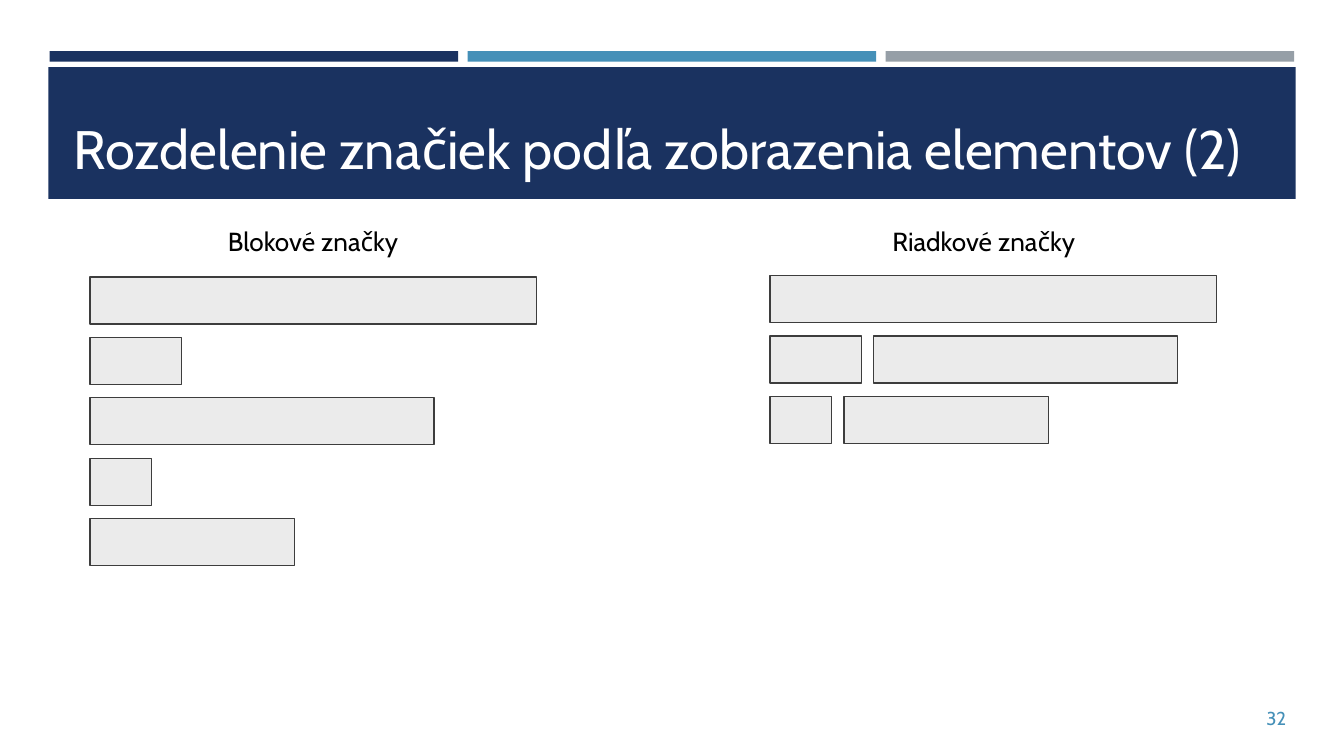
import pptx
import pptx.dml.color
import pptx.enum.shapes
import pptx.enum.text
import pptx.util

Inches = pptx.util.Inches
RGBColor = pptx.dml.color.RGBColor
ALIGN = pptx.enum.text.PP_ALIGN
ANCHOR = pptx.enum.text.MSO_ANCHOR

NAVY = RGBColor(0x1A, 0x32, 0x60)
BLUE = RGBColor(0x45, 0x90, 0xB8)
GRAY = RGBColor(0x96, 0x9F, 0xA7)
BOX_FILL = RGBColor(0xEB, 0xEB, 0xEB)
BOX_LINE = RGBColor(0x3D, 0x3D, 0x3D)
WHITE = RGBColor(0xFF, 0xFF, 0xFF)
BLACK = RGBColor(0, 0, 0)

FONT = "Cabin"
BOX_HEIGHT = 0.35
ROW_PITCH = 0.45
BOX_GAP = 0.09


def add_rect(s, x, y, w, h, fill, line=None):
    sp = s.shapes.add_shape(pptx.enum.shapes.MSO_SHAPE.RECTANGLE,
                            Inches(x), Inches(y), Inches(w), Inches(h))
    sp.shadow.inherit = False
    sp.fill.solid()
    sp.fill.fore_color.rgb = fill
    if line is None:
        sp.line.fill.background()
    else:
        sp.line.color.rgb = line
        sp.line.width = pptx.util.Pt(0.75)


def add_text(s, x, y, w, h, text, size, color, align, anchor, inset_x, inset_y):
    tf = s.shapes.add_textbox(Inches(x), Inches(y), Inches(w), Inches(h)).text_frame
    tf.word_wrap = True
    tf.vertical_anchor = anchor
    tf.margin_left = tf.margin_right = Inches(inset_x)
    tf.margin_top = tf.margin_bottom = Inches(inset_y)
    tf.text = text
    p = tf.paragraphs[0]
    p.alignment = align
    font = p.runs[0].font
    font.name = FONT
    font.size = pptx.util.Pt(size)
    font.color.rgb = color


def add_header(s, title):
    for i, color in enumerate((NAVY, BLUE, GRAY)):
        add_rect(s, 0.37 + 3.11 * i, 0.38, 3.04, 0.08, color)
    add_rect(s, 0.36, 0.5, 9.28, 0.98, NAVY)
    add_text(s, 0.48, 0.58, 9.05, 0.83, title, 29, WHITE,
             ALIGN.LEFT, ANCHOR.BOTTOM, 0.07, 0.07)


def add_tag_column(s, heading, heading_x, left, top, rows):
    """Draw a heading over rows of boxes, each row given as box widths."""
    add_text(s, heading_x, 1.58, 1.74, 0.54, heading, 14, BLACK,
             ALIGN.CENTER, ANCHOR.TOP, 0.1, 0.1)
    for i, widths in enumerate(rows):
        x = left
        for width in widths:
            add_rect(s, x, top + i * ROW_PITCH, width, BOX_HEIGHT, BOX_FILL, BOX_LINE)
            x += width + BOX_GAP


def main():
    prs = pptx.Presentation()
    prs.slide_width = Inches(10)
    prs.slide_height = Inches(10) * 9 // 16
    s = prs.slides.add_slide(prs.slide_layouts[6])

    add_header(s, "Rozdelenie značiek podľa zobrazenia elementov (2)")
    add_tag_column(s, "Blokové značky", 1.46, 0.67, 2.06,
                   [[3.32], [0.68], [2.56], [0.46], [1.52]])
    add_tag_column(s, "Riadkové značky", 6.45, 5.73, 2.05,
                   [[3.32], [0.68, 2.26], [0.46, 1.52]])
    add_text(s, 9.3, 5.19, 0.34, 0.3, "32", 10, BLUE,
             ALIGN.RIGHT, ANCHOR.MIDDLE, 0.07, 0.04)

    prs.save("out.pptx")


if __name__ == "__main__":
    main()
